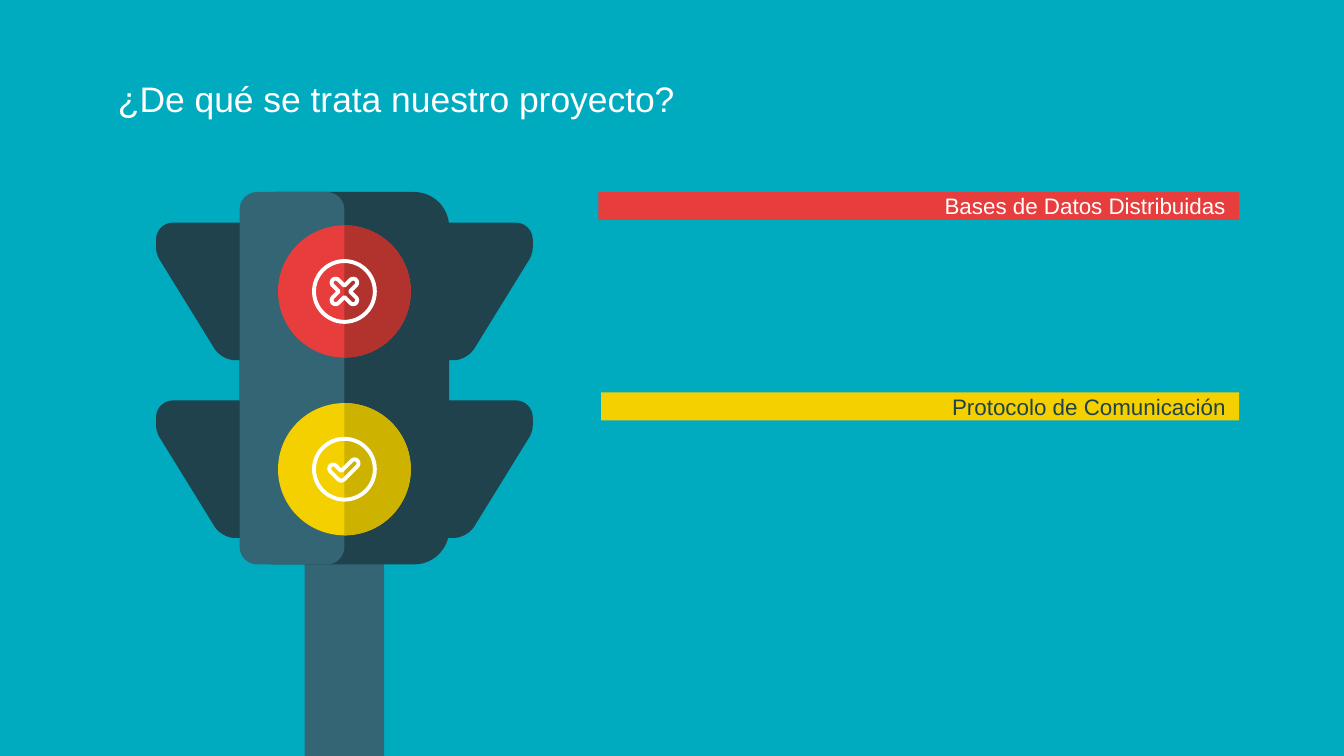
import math
import pptx
import pptx.util
import pptx.dml.color
import pptx.enum.shapes
import pptx.enum.text

Cm, Pt = pptx.util.Cm, pptx.util.Pt
SHAPE = pptx.enum.shapes.MSO_SHAPE
ALIGN = pptx.enum.text.PP_ALIGN
ANCHOR = pptx.enum.text.MSO_ANCHOR

COLORS = {
    "background": "00ABBF", "light": "336574", "dark": "1F424C", "white": "FFFFFF",
    "red": "E83D3D", "red_dark": "B2322E", "yellow": "F4D000", "yellow_dark": "CEB200",
}
FONT = "Arial"

# Content (lengths in cm)
TITLE = "¿De qué se trata nuestro proyecto?"
BARS = [  # text, left, top, fill, text colour
    ("Bases de Datos Distribuidas", 11.31, 3.63, "red", "white"),
    ("Protocolo de Comunicación", 11.36, 7.42, "yellow", "dark"),
]
LAMPS = [  # centre y, left half, right half, icon
    (5.51, "red", "red_dark", "cross"),
    (8.87, "yellow", "yellow_dark", "check"),
]
BAR_RIGHT, BAR_H = 23.42, 0.53
AXIS = 6.51                       # vertical centre line of the traffic light
HOUSING_TOP, HOUSING_W, HOUSING_H = 3.63, 3.96, 7.04
LAMP_W, LAMP_H, RING = 2.51, 2.5, 1.15

# Corner lists: x, y, rounding; the visor is relative to the lamp centre
VISOR = [(-1.43, -1.3, 0), (-3.56, -1.3, 0.32), (-3.56, -0.71, 0.12),
         (-2.32, 1.3, 0.25), (-1.43, 1.3, 0)]
W = 0.075                         # half the width of an icon's arm
ARM, LONG, SHORT = 0.31, 0.43, 0.29
ICONS = {  # offset of the pivot, corners before the 45 degree turn
    "cross": ((0, 0), [
        (W, W, 0), (ARM, W, W), (ARM, -W, W), (W, -W, 0), (W, -ARM, W), (-W, -ARM, W),
        (-W, -W, 0), (-ARM, -W, W), (-ARM, W, W), (-W, W, 0), (-W, ARM, W), (W, ARM, W)]),
    "check": ((-0.06, 0.14), [
        (-W, -W, W), (LONG, -W, W), (LONG, W, W), (W, W, 0), (W, SHORT, W), (-W, SHORT, W)]),
}


def rgb(name):
    return pptx.dml.color.RGBColor.from_string(COLORS[name])


def style(sp, fill=None, line=None):
    sp.shadow.inherit = False
    if fill:
        sp.fill.solid()
        sp.fill.fore_color.rgb = rgb(fill)
    else:
        sp.fill.background()
    if line:
        sp.line.color.rgb = rgb(line)
        sp.line.width = Pt(2.1)
    else:
        sp.line.fill.background()
    return sp


def add_preset(kind, x, y, w, h, **look):
    return style(s.shapes.add_shape(kind, Cm(x), Cm(y), Cm(w), Cm(h)), **look)


def add_outline(points, **look):
    points = [(Cm(x), Cm(y)) for x, y in points]
    builder = s.shapes.build_freeform(*points[0], scale=1.0)
    builder.add_line_segments(points[1:], close=True)
    return style(builder.convert_to_shape(), **look)


def rounded(corners, steps=8):
    """Replace every corner that has a rounding by a short curve."""
    points = []
    for i, (x, y, cut) in enumerate(corners):
        if not cut:
            points.append((x, y))
            continue
        ends = []
        for nx, ny, _ in (corners[i - 1], corners[(i + 1) % len(corners)]):
            d = math.hypot(nx - x, ny - y)
            ends.append(((nx - x) * cut / d, (ny - y) * cut / d))
        (ax, ay), (bx, by) = ends
        for n in range(steps + 1):
            t = n / steps
            a = (1 - t) ** 3 + 1.35 * t * (1 - t) ** 2
            b = t ** 3 + 1.35 * t ** 2 * (1 - t)
            points.append((x + a * ax + b * bx, y + a * ay + b * by))
    return points


def add_text(tf, text, size, color, align, anchor):
    tf.vertical_anchor = anchor
    tf.margin_left = tf.margin_right = Cm(0.25)
    tf.word_wrap = True
    p = tf.paragraphs[0]
    p.alignment = align
    r = p.add_run()
    r.text = text
    r.font.size, r.font.name = Pt(size), FONT
    r.font.color.rgb = rgb(color)


prs = pptx.Presentation()
prs.slide_width, prs.slide_height = Cm(25.4), Cm(14.29)
s = prs.slides.add_slide(prs.slide_layouts[5])
s.background.fill.solid()
s.background.fill.fore_color.rgb = rgb("background")

# Title
title = s.shapes.title
title.left, title.top, title.width, title.height = Cm(1.98), Cm(1.12), Cm(21.44), Cm(1.6)
add_text(title.text_frame, TITLE, 19, "white", ALIGN.LEFT, ANCHOR.TOP)
title.text_frame.margin_top = Cm(0.33)
title.text_frame.auto_size = pptx.enum.text.MSO_AUTO_SIZE.NONE

# Pole and visors
add_preset(SHAPE.RECTANGLE, AXIS - 0.75, 10.49, 1.5, 3.8, fill="light")
for cy, *_ in LAMPS:
    for side in (1, -1):
        add_outline([(AXIS + side * x, cy + y) for x, y in rounded(VISOR)], fill="dark")

# Housing: full width dark, left half light
for width, color in ((HOUSING_W, "dark"), (HOUSING_W / 2, "light")):
    add_preset(SHAPE.ROUNDED_RECTANGLE, AXIS - HOUSING_W / 2, HOUSING_TOP,
               width, HOUSING_H, fill=color).adjustments[0] = 0.167

# Lamps with their icons
for cy, color, shade, icon in LAMPS:
    add_preset(SHAPE.OVAL, AXIS - LAMP_W / 2, cy - LAMP_H / 2, LAMP_W, LAMP_H, fill=color)
    angles = [math.radians(a) for a in range(-90, 91, 4)]
    add_outline([(AXIS + LAMP_W / 2 * math.cos(a), cy + LAMP_H / 2 * math.sin(a))
                 for a in angles], fill=shade)
    add_preset(SHAPE.OVAL, AXIS - RING / 2, cy - RING / 2, RING, RING, line="white")
    (dx, dy), corners = ICONS[icon]
    add_outline([(AXIS + dx + (u - v) / math.sqrt(2), cy + dy - (u + v) / math.sqrt(2))
                 for u, v in rounded(corners)], line="white")

# Label bars
for text, left, top, fill, color in BARS:
    bar = add_preset(SHAPE.RECTANGLE, left, top, BAR_RIGHT - left, BAR_H, fill=fill)
    add_text(bar.text_frame, text, 12, color, ALIGN.RIGHT, ANCHOR.MIDDLE)

prs.save("out.pptx")
